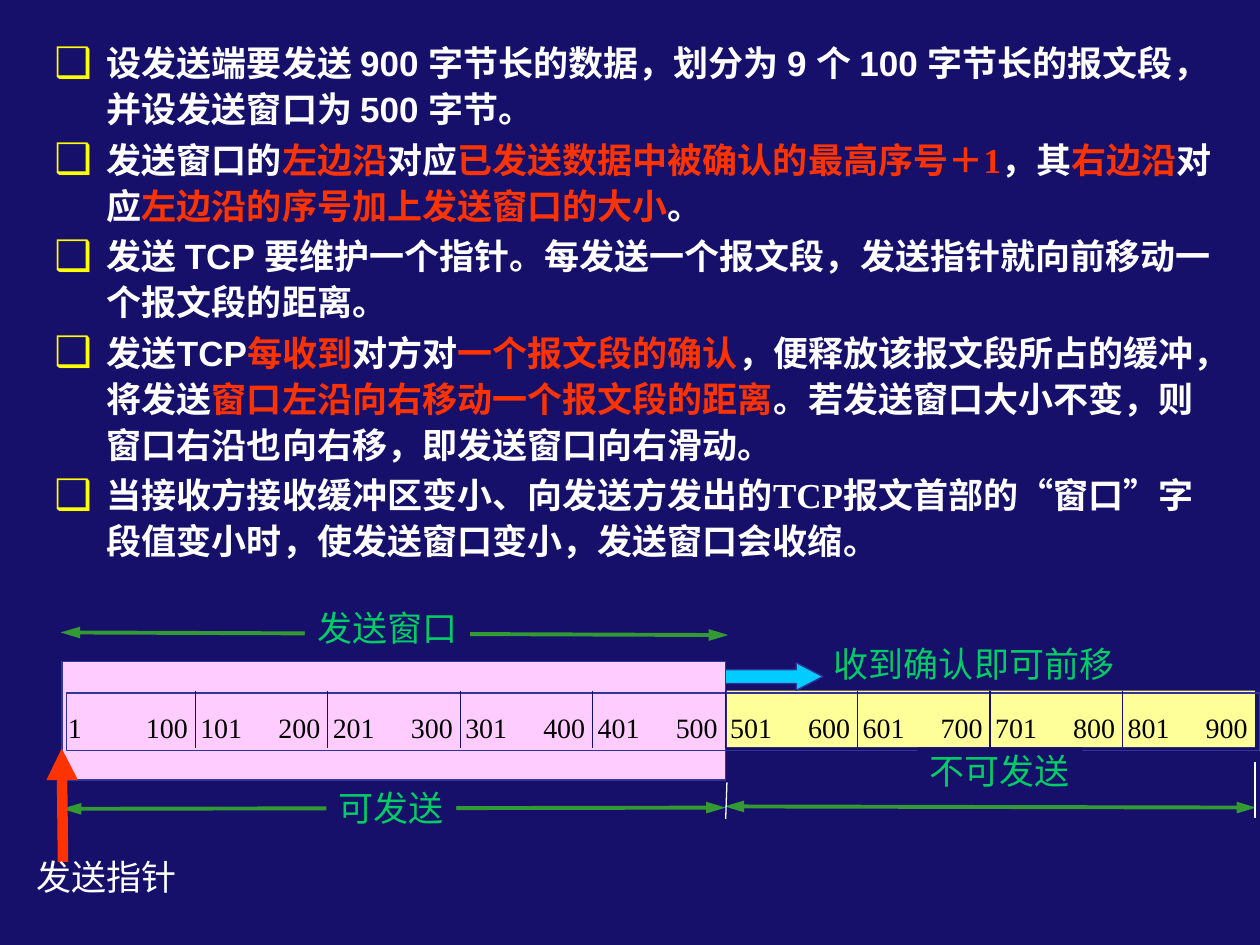
from dataclasses import dataclass
from typing import NamedTuple, Optional

from lxml import etree
from pptx import Presentation
from pptx.dml.color import RGBColor
from pptx.enum.shapes import MSO_CONNECTOR, MSO_SHAPE
from pptx.enum.text import MSO_ANCHOR, MSO_AUTO_SIZE, PP_ALIGN
from pptx.oxml.ns import qn
from pptx.util import Pt

RECTANGLE = MSO_SHAPE.RECTANGLE
RIGHT_ARROW = MSO_SHAPE.RIGHT_ARROW
STRAIGHT = MSO_CONNECTOR.STRAIGHT
TOP = MSO_ANCHOR.TOP
NO_AUTOFIT = MSO_AUTO_SIZE.NONE
LEFT = PP_ALIGN.LEFT


@dataclass(frozen=True)
class Theme:
    navy: str = "16106B"
    white: str = "FFFFFF"
    black: str = "000000"
    red: str = "FF3300"
    yellow: str = "FFFF00"
    green: str = "00CC66"
    arrow_green: str = "339933"
    outline: str = "333399"
    window_pink: str = "FFCCFF"
    blocked_yellow: str = "FFFF99"
    cyan: str = "00CCFF"
    sans: str = "Arial"
    serif: str = "Times New Roman"
    chinese: str = "Noto Sans CJK SC"
    text_size: float = 20
    number_size: float = 16


THEME = Theme()


class Span(NamedTuple):
    text: str
    color: str = THEME.white
    font: str = THEME.serif


class Block(NamedTuple):
    left: float
    top: float
    width: float
    height: float
    fill: Optional[str] = None
    line: Optional[str] = None
    line_width: float = 0.75
    kind: int = RECTANGLE


class Label(NamedTuple):
    text: str
    left: float
    top: float
    width: float
    height: float
    color: str = THEME.green
    fill: Optional[str] = None
    font: str = THEME.chinese
    size: float = THEME.text_size
    line_spacing: float = 22


class Line(NamedTuple):
    start: tuple[float, float]
    end: tuple[float, float]
    color: str
    width: float = 0.75
    head: bool = False
    tail: bool = False
    arrow_length: str = "lg"


def apply_format(target, values: dict) -> None:
    for name, value in values.items():
        setattr(target, name, value)


def add_span(paragraph, span: Span, size: float, bold: bool = False) -> None:
    run = paragraph.add_run()
    run.text = span.text
    apply_format(run.font, {"size": Pt(size), "bold": bold, "name": span.font})
    run.font.color.rgb = RGBColor.from_string(span.color)
    etree.SubElement(run.font._element, qn("a:ea"), typeface=THEME.chinese)


def add_block(shapes, block: Block):
    shape = shapes.add_shape(block.kind, *map(Pt, block[:4]))
    shape.shadow.inherit = False
    if block.fill:
        shape.fill.solid()
        shape.fill.fore_color.rgb = RGBColor.from_string(block.fill)
    else:
        shape.fill.background()
    if block.line:
        shape.line.color.rgb = RGBColor.from_string(block.line)
        shape.line.width = Pt(block.line_width)
    else:
        shape.line.fill.background()
    return shape


def add_label(shapes, label: Label) -> None:
    box = label[1:5]
    if label.fill:
        shape = add_block(shapes, Block(*box, label.fill))
    else:
        shape = shapes.add_textbox(*map(Pt, box))
    frame = shape.text_frame
    apply_format(frame, {"word_wrap": False, "auto_size": NO_AUTOFIT, "vertical_anchor": TOP})
    paragraph = frame.paragraphs[0]
    apply_format(paragraph, {"alignment": LEFT, "line_spacing": Pt(label.line_spacing)})
    add_span(paragraph, Span(label.text, label.color, label.font), label.size)


def add_line(shapes, line: Line) -> None:
    connector = shapes.add_connector(STRAIGHT, *map(Pt, line.start + line.end))
    connector.line.color.rgb = RGBColor.from_string(line.color)
    connector.line.width = Pt(line.width)
    outline = connector.line._get_or_add_ln()
    for tag, wanted in (("a:headEnd", line.head), ("a:tailEnd", line.tail)):
        if wanted:
            etree.SubElement(outline, qn(tag), type="triangle", w="med", len=line.arrow_length)
    etree.SubElement(connector._element.spPr, qn("a:effectLst"))


def add_bullet(paragraph) -> None:
    properties = paragraph._p.get_or_add_pPr()
    properties.set("marL", str(Pt(30)))
    properties.set("indent", str(Pt(-30)))
    color = etree.SubElement(properties, qn("a:buClr"))
    etree.SubElement(color, qn("a:srgbClr"), val=THEME.yellow)
    etree.SubElement(properties, qn("a:buSzPct"), val="120000")
    etree.SubElement(properties, qn("a:buChar"), char="❑")


def fill_body(body, bullets: list[list[Span]]) -> None:
    frame = body.text_frame
    apply_format(frame, {"word_wrap": True, "auto_size": NO_AUTOFIT, "vertical_anchor": TOP})
    for index, spans in enumerate(bullets):
        paragraph = frame.add_paragraph() if index else frame.paragraphs[0]
        add_bullet(paragraph)
        apply_format(paragraph, {"alignment": LEFT, "line_spacing": Pt(26.3),
                                 "space_before": Pt(2.5 if index else 0)})
        for span in spans:
            add_span(paragraph, span, THEME.text_size, bold=True)


RED, SANS = THEME.red, THEME.sans
BULLETS = [
    [Span("设发送端要发送 900 字节长的数据，划分为 9 个 100 字节长的报文段，并设发送窗口为 500 字节。", font=SANS)],
    [Span("发送窗口的", font=SANS), Span("左边沿", RED), Span("对应"),
     Span("已发送数据中被确认的最高序号＋1", RED), Span("，其"), Span("右边沿", RED),
     Span("对应"), Span("左边沿的序号加上发送窗口的大小", RED), Span("。")],
    [Span("发送 TCP 要维护一个指针。每发送一个报文段，发送指针就向前移动一个报文段的距离。", font=SANS)],
    [Span("发送TCP", font=SANS), Span("每收到", RED, SANS), Span("对方对", font=SANS),
     Span("一个报文段的确认", RED, SANS), Span("，便释放该报文段所占的缓冲，将发送", font=SANS),
     Span("窗口左沿向右移动一个报文段的距离", RED, SANS),
     Span("。若发送窗口大小不变，则窗口右沿也向右移，即发送窗口向右滑动。", font=SANS)],
    [Span("当接收方接收缓冲区变小、向发送方发出的TCP报文首部的“窗口”字段值变小时，使"),
     Span("发送窗口变小，发送窗口会收缩。", font=SANS)],
]
SEGMENT_COUNT, SEGMENT_BYTES, SEGMENT_WIDTH = 9, 100, 75.7


def draw_segments(shapes) -> None:
    for index in range(1, SEGMENT_COUNT):
        x = 35.9 + index * SEGMENT_WIDTH
        add_line(shapes, Line((x, 394.6), (x, 427.7), THEME.navy))
    for index in range(SEGMENT_COUNT):
        first = index * SEGMENT_BYTES + 1
        offset = index * SEGMENT_WIDTH
        for number, left, width in ((first, 31.7, 38.2 if index else 22.3),
                                    (first + SEGMENT_BYTES - 1, 76.3, 38.2)):
            add_label(shapes, Label(str(number), left + offset, 403.2, width, 26.6, THEME.black,
                                    font=THEME.serif, size=THEME.number_size, line_spacing=18.4))


def draw_window_diagram(shapes) -> None:
    # Byte strip, send window and the arrow that moves it on
    add_block(shapes, Block(415.4, 394.6, 301.7, 32.4, THEME.blocked_yellow))
    move_arrow = add_block(shapes, Block(410.4, 378.7, 59.8, 15.8, THEME.cyan, THEME.outline, kind=RIGHT_ARROW))
    move_arrow.adjustments[1] = 0.96
    add_label(shapes, Label("收到确认即可前移", 469.4, 365.8, 174.2, 28.1))
    add_block(shapes, Block(35.3, 378, 379.4, 67.7, THEME.window_pink, THEME.outline, 1))
    add_block(shapes, Block(38.2, 396, 681.8, 33.1, line=THEME.outline))
    draw_segments(shapes)

    # Span arrows, end marks and their labels
    for start, end in (((34.6, 361.4), (416.2, 362.9)), ((35.3, 462.2), (414.7, 461.5)),
                       ((414, 460.8), (717.8, 461.5))):
        add_line(shapes, Line(start, end, THEME.arrow_green, 2.25, head=True, tail=True))
    add_line(shapes, Line((415.4, 447.1), (414.7, 468), THEME.white))
    add_line(shapes, Line((717.1, 435.6), (717.1, 467.3), THEME.white))
    add_label(shapes, Label("发送窗口", 174.2, 342, 94.3, 31.7, fill=THEME.navy, line_spacing=25))
    add_label(shapes, Label("可发送", 186.5, 447.8, 74.2, 28.1, fill=THEME.navy))
    add_label(shapes, Label("不可发送", 524.2, 427, 94.3, 28.1, fill=THEME.navy))

    # Send pointer
    add_line(shapes, Line((36, 492.5), (35.3, 427.7), THEME.red, 6, tail=True, arrow_length="med"))
    add_label(shapes, Label("发送指针", 13.7, 487.4, 94.3, 28.1, THEME.white))


def main() -> None:
    presentation = Presentation()
    apply_format(presentation, {"slide_width": Pt(720), "slide_height": Pt(540)})
    slide = presentation.slides.add_slide(presentation.slide_layouts[1])
    slide.background.fill.solid()
    slide.background.fill.fore_color.rgb = RGBColor.from_string(THEME.navy)
    title = slide.shapes.title._element
    title.getparent().remove(title)

    body = slide.placeholders[1]
    apply_format(body, {"left": Pt(23.8), "top": Pt(18), "width": Pt(678.2), "height": Pt(318.2)})
    fill_body(body, BULLETS)
    draw_window_diagram(slide.shapes.add_group_shape().shapes)
    presentation.save("out.pptx")


if __name__ == "__main__":
    main()
